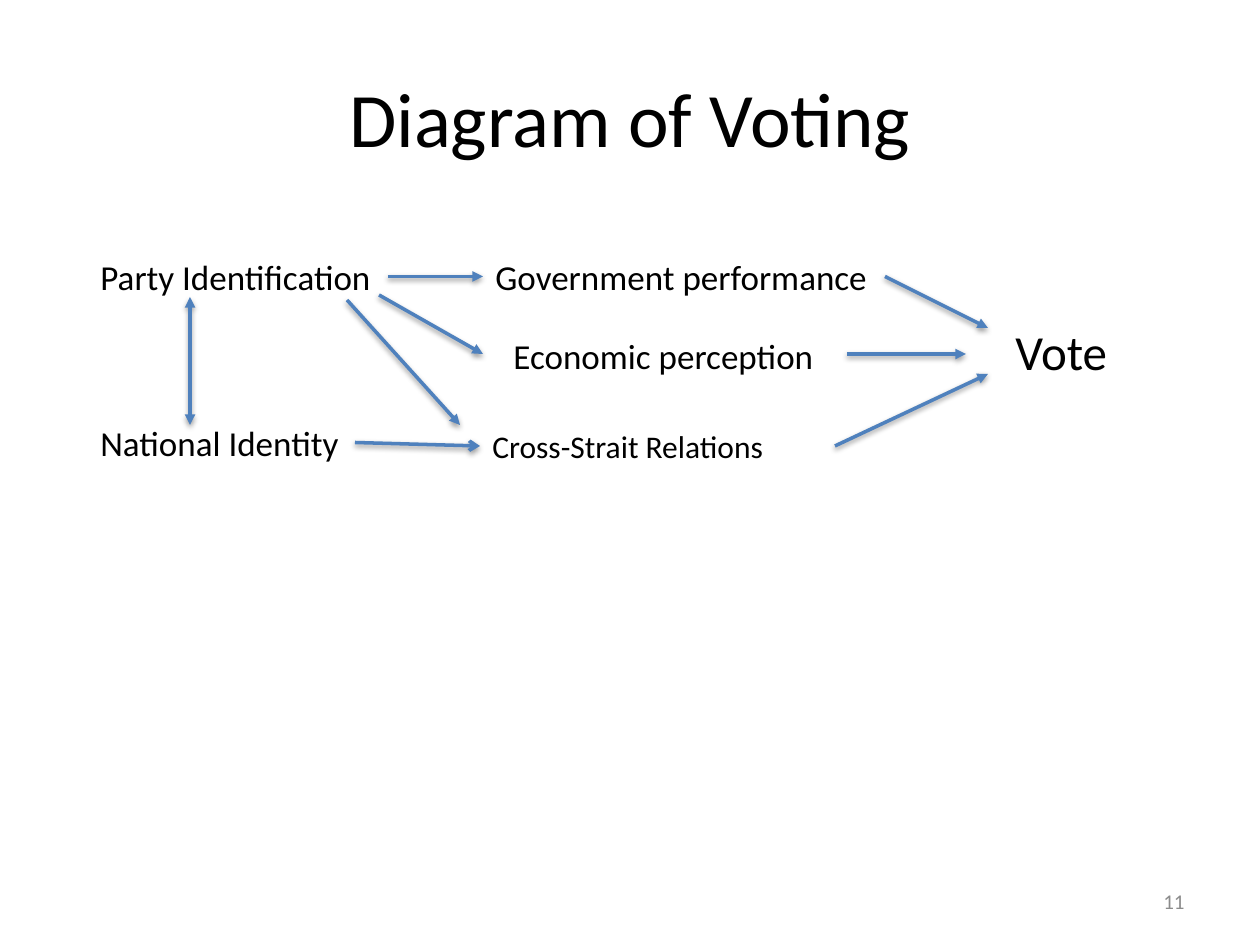
from lxml import etree
from pptx import Presentation
from pptx.dml.color import RGBColor
from pptx.enum.shapes import MSO_CONNECTOR
from pptx.enum.text import MSO_ANCHOR, MSO_AUTO_SIZE, PP_ALIGN
from pptx.oxml.ns import qn
from pptx.util import Emu, Pt

STRAIGHT = MSO_CONNECTOR.STRAIGHT
MIDDLE = MSO_ANCHOR.MIDDLE
FIT = MSO_AUTO_SIZE.SHAPE_TO_FIT_TEXT
CENTER, RIGHT = PP_ALIGN.CENTER, PP_ALIGN.RIGHT
EAST, WEST = 3, 1
FONT, BLACK, GREY, BLUE = "Calibri", "000000", "8C8C8C", "4F81BD"

TITLE = "Diagram of Voting"
NUMBER = "11"
LABELS = {
    "party": ("Party Identification", 20, (88, 249, 300, 55)),
    "nation": ("National Identity", 20, (88, 415, 267, 55)),
    "strait": ("Cross-Strait Relations", 18, (480, 421, 301, 50)),
    "economy": ("Economic perception", 20, (501, 328, 330, 55)),
    "rule": ("Government performance", 20, (483, 249, 402, 55)),
    "vote": ("Vote", 28, (1003, 315, 121, 72)),
}
ARROWS = [
    ("party", "rule", {"tailEnd": "triangle"}),
    ("nation", "strait", {"tailEnd": "arrow"}),
    ((190, 297), (190, 425), {"headEnd": "triangle", "tailEnd": "triangle"}),
    ((379, 295), (483, 354), {"tailEnd": "triangle"}),
    ((347, 300), (460, 425), {"tailEnd": "triangle"}),
    ((847, 354), (966, 354), {"tailEnd": "triangle"}),
    ((835, 446), (988, 374), {"tailEnd": "triangle"}),
    ("rule", (988, 328), {"tailEnd": "triangle"}),
]


def px(n):
    return Emu(round(n * 914400 / 126))


def color(code):
    return RGBColor.from_string(code)


def write(shape, text, size, code=BLACK, align=None):
    shape.text_frame.text = text
    para = shape.text_frame.paragraphs[0]
    para.alignment = align
    font = para.runs[0].font
    font.name, font.size = FONT, Pt(size)
    font.color.rgb = color(code)


def shade(line):
    effects = etree.SubElement(line._element.spPr, qn("a:effectLst"))
    shadow = etree.SubElement(effects, qn("a:outerShdw"), blurRad="40000",
                              dist="20000", dir="5400000", rotWithShape="0")
    black = etree.SubElement(shadow, qn("a:srgbClr"), val=BLACK)
    etree.SubElement(black, qn("a:alpha"), val="38000")


def point(end, side):
    if isinstance(end, tuple):
        return end
    left, top, width, height = LABELS[end][2]
    return left + (width if side == EAST else 0), top + height / 2


def connect(slide, boxes, start, end, heads):
    spots = point(start, EAST) + point(end, WEST)
    line = slide.shapes.add_connector(STRAIGHT, *map(px, spots))
    if start in boxes:
        line.begin_connect(boxes[start], EAST)
    if end in boxes:
        line.end_connect(boxes[end], WEST)
    line.line.color.rgb = color(BLUE)
    line.line.width = Pt(2)
    for tag, kind in heads.items():
        etree.SubElement(line.line._get_or_add_ln(), qn(f"a:{tag}"), type=kind)
    shade(line)


def main():
    deck = Presentation()
    deck.slide_width, deck.slide_height = px(1260), px(945)
    slide = deck.slides.add_slide(deck.slide_layouts[5])

    title = slide.shapes.title
    title.left, title.top, title.width, title.height = map(px, (63, 38, 1134, 157))
    title.text_frame.vertical_anchor = MIDDLE
    write(title, TITLE, 44, align=CENTER)

    number = slide.shapes.add_textbox(*map(px, (903, 876, 294, 50)))
    number.text_frame.word_wrap = True
    number.text_frame.vertical_anchor = MIDDLE
    write(number, NUMBER, 12, GREY, RIGHT)

    boxes = {}
    for key, (text, size, place) in LABELS.items():
        box = boxes[key] = slide.shapes.add_textbox(*map(px, place))
        box.text_frame.word_wrap = False
        box.text_frame.auto_size = FIT
        write(box, text, size)

    for arrow in ARROWS:
        connect(slide, boxes, *arrow)

    deck.save("out.pptx")


if __name__ == "__main__":
    main()
